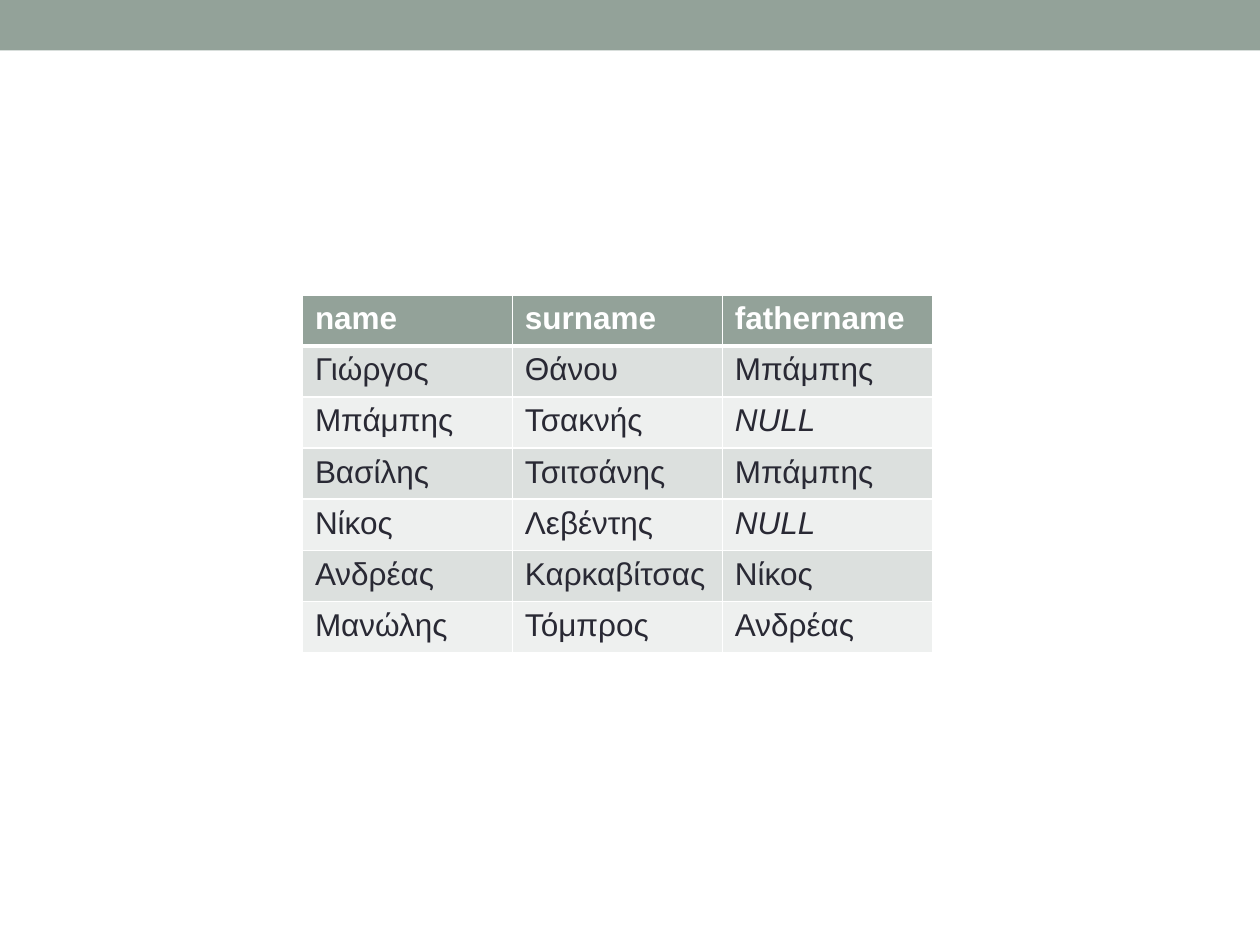
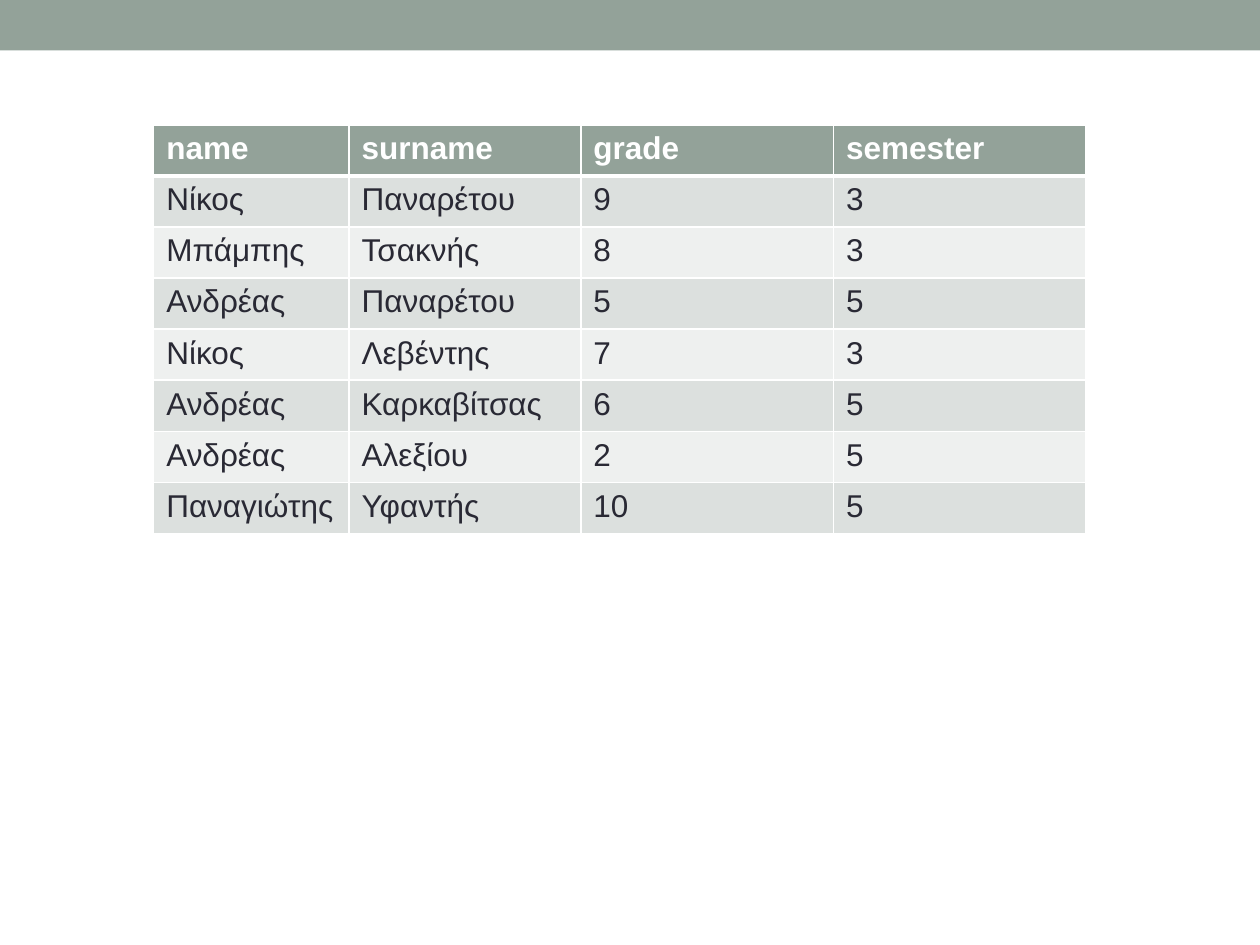
from dataclasses import dataclass

from pptx import Presentation
from pptx.dml.color import RGBColor as RGB
from pptx.enum.shapes import MSO_SHAPE as Shape
from pptx.oxml.ns import qn
from pptx.util import Inches, Pt
from lxml.etree import SubElement as Sub


@dataclass(frozen=True)
class Theme:
    font: str = "Arial"
    size: int = 18
    accent: str = "93A299"
    ink: str = "292934"
    white: str = "FFFFFF"
    odd: str = "DCE0DE"
    even: str = "EEF0EF"
    thin: int = 1
    thick: int = 3
    row: float = 29.2 / 72


THEME = Theme()

PEOPLE = [
    ("name", "surname", "fathername"),
    ("Γιώργος", "Θάνου", "Μπάμπης"),
    ("Μπάμπης", "Τσακνής", "NULL"),
    ("Βασίλης", "Τσιτσάνης", "Μπάμπης"),
    ("Νίκος", "Λεβέντης", "NULL"),
    ("Ανδρέας", "Καρκαβίτσας", "Νίκος"),
    ("Μανώλης", "Τόμπρος", "Ανδρέας"),
]

GRADES = [
    ("name", "surname", "grade", "semester"),
    ("Νίκος", "Παναρέτου", "9", "3"),
    ("Μπάμπης", "Τσακνής", "8", "3"),
    ("Ανδρέας", "Παναρέτου", "5", "5"),
    ("Νίκος", "Λεβέντης", "7", "3"),
    ("Ανδρέας", "Καρκαβίτσας", "6", "5"),
    ("Ανδρέας", "Αλεξίου", "2", "5"),
    ("Παναγιώτης", "Υφαντής", "10", "5"),
]


def add_band(slide, width):
    band = slide.shapes.add_shape(Shape.RECTANGLE, 0, 0, width, Inches(0.4))
    band.shadow.inherit = False
    band.fill.solid()
    band.fill.fore_color.rgb = RGB.from_string(THEME.accent)
    band.line.fill.background()


def set_edges(cell, row):
    props = cell._tc.get_or_add_tcPr()
    top = THEME.thick if row == 1 else THEME.thin
    base = THEME.thick if row == 0 else THEME.thin
    for side, width in zip("LRTB", (THEME.thin, THEME.thin, top, base)):
        edge = Sub(props, qn(f"a:ln{side}"), w=str(Pt(width)))
        fill = Sub(edge, qn("a:solidFill"))
        Sub(fill, qn("a:srgbClr"), val=THEME.white)


def fill_cell(cell, text, row):
    head = row == 0
    set_edges(cell, row)
    cell.fill.solid()
    tone = THEME.accent if head else THEME.odd if row % 2 else THEME.even
    cell.fill.fore_color.rgb = RGB.from_string(tone)
    cell.text_frame.text = text
    font = cell.text_frame.paragraphs[0].runs[0].font
    font.name, font.size = THEME.font, Pt(THEME.size)
    font.bold, font.italic = head, text == "NULL"
    font.color.rgb = RGB.from_string(THEME.white if head else THEME.ink)


def add_grid(slide, left, top, widths, data):
    box = (left, top, sum(widths), THEME.row * len(data))
    frame = slide.shapes.add_table(len(data), len(widths), *map(Inches, box))
    table = frame.table
    for col, width in zip(table.columns, widths):
        col.width = Inches(width)
    for row, texts in enumerate(data):
        table.rows[row].height = Inches(THEME.row)
        for col, text in enumerate(texts):
            fill_cell(table.cell(row, col), text, row)


def add_page(deck, left, top, widths, data):
    slide = deck.slides.add_slide(deck.slide_layouts[6])
    add_band(slide, deck.slide_width)
    add_grid(slide, left, top, widths, data)


def main():
    deck = Presentation()
    deck.slide_width, deck.slide_height = Inches(10), Inches(7.5)
    add_page(deck, 2.4, 2.34, [5 / 3] * 3, PEOPLE)
    add_page(deck, 1.22, 0.99, [1.55, 1.84] + [4.01 / 2] * 2, GRADES)
    deck.save("out.pptx")


if __name__ == "__main__":
    main()
